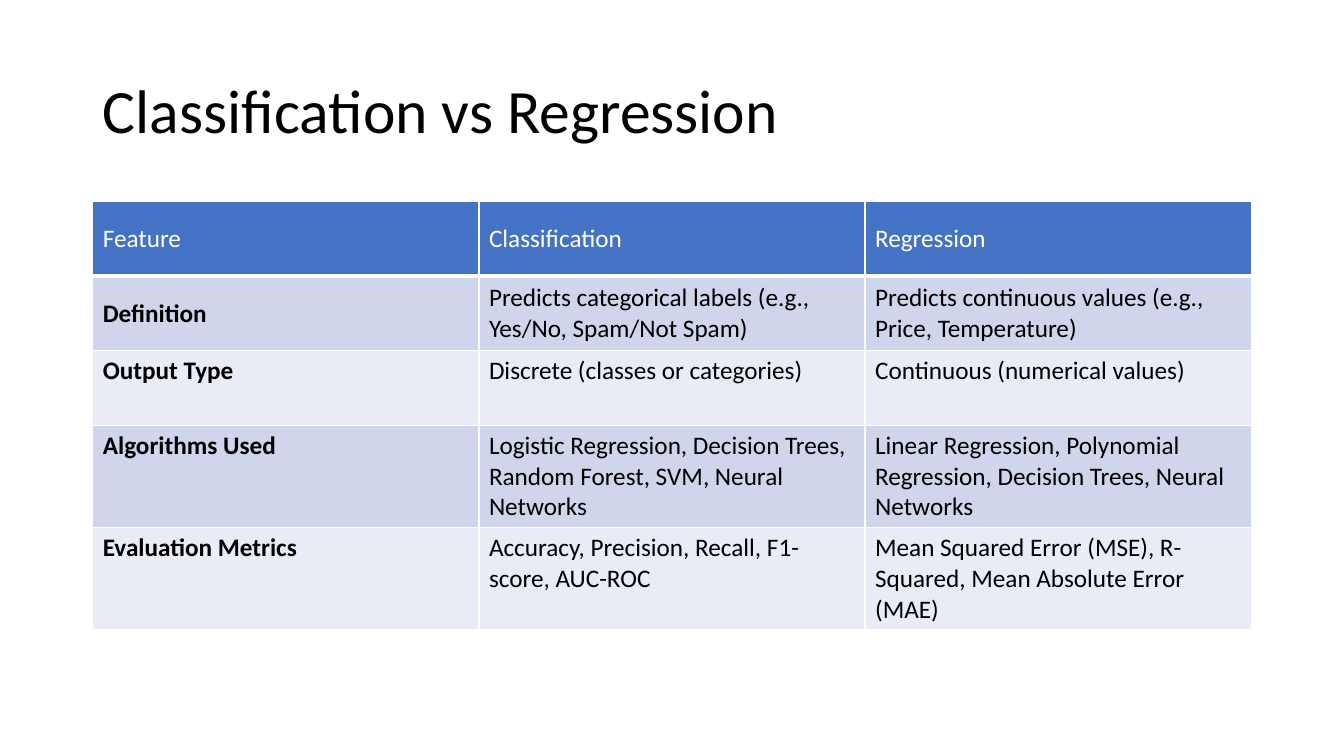
from lxml.etree import SubElement
from pptx import Presentation
from pptx.dml.color import RGBColor
from pptx.enum.text import MSO_ANCHOR, PP_ALIGN
from pptx.oxml.ns import qn
from pptx.util import Inches, Pt

BLACK = RGBColor(0x00, 0x00, 0x00)
WHITE = RGBColor(0xFF, 0xFF, 0xFF)
HEADER_BLUE = RGBColor(0x44, 0x72, 0xC4)
BAND_DARK = RGBColor(0xCF, 0xD5, 0xEA)
BAND_LIGHT = RGBColor(0xE9, 0xEB, 0xF5)

FONT = "Calibri"
COMPARISON = [
    ("Feature", "Classification", "Regression"),
    (
        "Definition",
        "Predicts categorical labels (e.g., Yes/No, Spam/Not Spam)",
        "Predicts continuous values (e.g., Price, Temperature)",
    ),
    (
        "Output Type",
        "Discrete (classes or categories)",
        "Continuous (numerical values)",
    ),
    (
        "Algorithms Used",
        "Logistic Regression, Decision Trees, Random Forest, SVM, Neural Networks",
        "Linear Regression, Polynomial Regression, Decision Trees, Neural Networks",
    ),
    (
        "Evaluation Metrics",
        "Accuracy, Precision, Recall, F1-score, AUC-ROC",
        "Mean Squared Error (MSE), R-Squared, Mean Absolute Error (MAE)",
    ),
]


def write_text(text_frame, text, size=18, color=BLACK, bold=False, line_spacing=None):
    """Fill a text frame with one left-aligned, formatted paragraph."""
    paragraph = text_frame.paragraphs[0]
    paragraph.alignment = PP_ALIGN.LEFT
    paragraph.line_spacing = line_spacing
    run = paragraph.add_run()
    run.text = text
    run.font.name = FONT
    run.font.size = Pt(size)
    run.font.color.rgb = color
    run.font.bold = bold


def add_borders(cell, color=WHITE, bottom_width=1):
    """Draw solid borders on the four sides of a table cell."""
    properties = cell._tc.get_or_add_tcPr()
    for side, width in (("L", 1), ("R", 1), ("T", 1), ("B", bottom_width)):
        line = SubElement(properties, qn(f"a:ln{side}"), w=str(Pt(width)))
        fill = SubElement(line, qn("a:solidFill"))
        SubElement(fill, qn("a:srgbClr"), val=str(color))


def format_cell(cell, text, fill_color, anchor, bottom_width=1, **text_format):
    """Give a table cell its borders, fill, anchor and text."""
    add_borders(cell, bottom_width=bottom_width)
    cell.fill.solid()
    cell.fill.fore_color.rgb = fill_color
    cell.vertical_anchor = anchor
    write_text(cell.text_frame, text, **text_format)


def add_title(slide, text):
    """Place and fill the title placeholder."""
    title = slide.shapes.title
    title.left, title.top = Inches(0.92), Inches(0.4)
    title.width, title.height = Inches(11.5), Inches(1.45)
    title.text_frame.vertical_anchor = MSO_ANCHOR.MIDDLE
    write_text(title.text_frame, text, size=44, line_spacing=0.9)


def add_comparison_table(slide, rows):
    """Add a table with a blue header, banded rows and bold row labels."""
    frame = slide.shapes.add_table(
        len(rows), len(rows[0]),
        Inches(0.92), Inches(2), Inches(11.49), Inches(0.74 * len(rows)),
    )
    for row_index, texts in enumerate(rows):
        is_header = row_index == 0
        band = BAND_DARK if row_index % 2 else BAND_LIGHT
        for column_index, text in enumerate(texts):
            format_cell(
                frame.table.cell(row_index, column_index),
                text,
                HEADER_BLUE if is_header else band,
                MSO_ANCHOR.MIDDLE if row_index < 2 else MSO_ANCHOR.TOP,
                bottom_width=3 if is_header else 1,
                color=WHITE if is_header else BLACK,
                bold=not is_header and column_index == 0,
            )


def main():
    """Build and save the comparison slide."""
    presentation = Presentation()
    presentation.slide_width = Inches(13.33)
    presentation.slide_height = Inches(7.5)
    slide = presentation.slides.add_slide(presentation.slide_layouts[5])
    add_title(slide, "Classification vs Regression")
    add_comparison_table(slide, COMPARISON)
    presentation.save("out.pptx")


if __name__ == "__main__":
    main()
